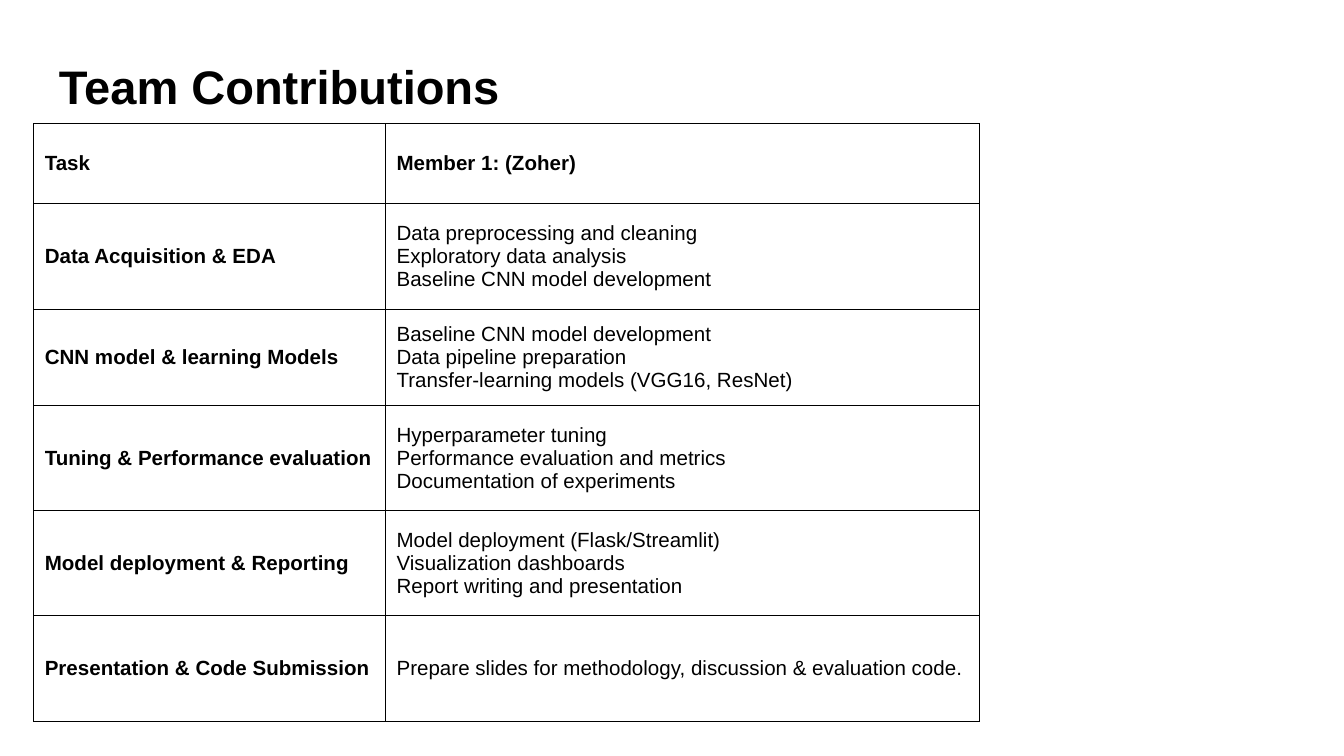
from lxml.etree import SubElement
from pptx import Presentation
from pptx.dml.color import RGBColor
from pptx.enum.text import MSO_ANCHOR as Anchor
from pptx.oxml.ns import qn
from pptx.util import Pt

BLACK, WHITE = "000000", "FFFFFF"


def color(value):
    return RGBColor.from_string(value)


def add_span(para, text, size, bold):
    span = para.add_run()
    span.text = text
    span.font.name = "Arial"
    span.font.size = Pt(size)
    span.font.bold = bold
    span.font.color.rgb = color(BLACK)


tasks = [
    ("Task", ["Member 1: (Zoher)"]),
    ("Data Acquisition & EDA", [
        "Data preprocessing and cleaning",
        "Exploratory data analysis",
        "Baseline CNN model development"]),
    ("CNN model & learning Models", [
        "Baseline CNN model development",
        "Data pipeline preparation",
        "Transfer-learning models (VGG16, ResNet)"]),
    ("Tuning & Performance evaluation", [
        "Hyperparameter tuning",
        "Performance evaluation and metrics",
        "Documentation of experiments"]),
    ("Model deployment & Reporting", [
        "Model deployment (Flask/Streamlit)",
        "Visualization dashboards",
        "Report writing and presentation"]),
    ("Presentation & Code Submission", [
        "Prepare slides for methodology, discussion & evaluation code."]),
]
column_widths = [188.5, 318.5]
row_heights = [43, 56.4, 48.7, 56.4, 56.4, 56.4]

deck = Presentation()
deck.slide_width = Pt(720)
deck.slide_height = Pt(405)
page = deck.slides.add_slide(deck.slide_layouts[6])

title_box = page.shapes.add_textbox(Pt(24.5), Pt(23), Pt(671), Pt(45.4))
title = title_box.text_frame
title.word_wrap = True
title.vertical_anchor = Anchor.BOTTOM
title.margin_left = title.margin_right = Pt(7.2)
title.margin_top = title.margin_bottom = Pt(7.2)
add_span(title.paragraphs[0], "Team Contributions", 25.2, True)

table = page.shapes.add_table(
    len(tasks), len(column_widths), Pt(18), Pt(66.2),
    Pt(sum(column_widths)), Pt(sum(row_heights))).table
for column, width in zip(table.columns, column_widths):
    column.width = Pt(width)

for row_index, (task, duties) in enumerate(tasks):
    table.rows[row_index].height = Pt(row_heights[row_index])
    for column_index, lines in enumerate([[task], duties]):
        cell = table.cell(row_index, column_index)
        cell.vertical_anchor = Anchor.MIDDLE
        cell.margin_left = cell.margin_right = Pt(6)
        cell.margin_top = cell.margin_bottom = Pt(6)
        bold = row_index == 0 or column_index == 0
        for line_index, line in enumerate(lines):
            frame = cell.text_frame
            para = frame.add_paragraph() if line_index else frame.paragraphs[0]
            add_span(para, line, 11, bold)
        properties = cell._tc.get_or_add_tcPr()
        for side in ("a:lnL", "a:lnR", "a:lnT", "a:lnB"):
            border = SubElement(properties, qn(side), w=str(Pt(0.6)))
            fill = SubElement(border, qn("a:solidFill"))
            SubElement(fill, qn("a:srgbClr"), val=BLACK)
        cell.fill.solid()
        cell.fill.fore_color.rgb = color(WHITE)

deck.save("out.pptx")
